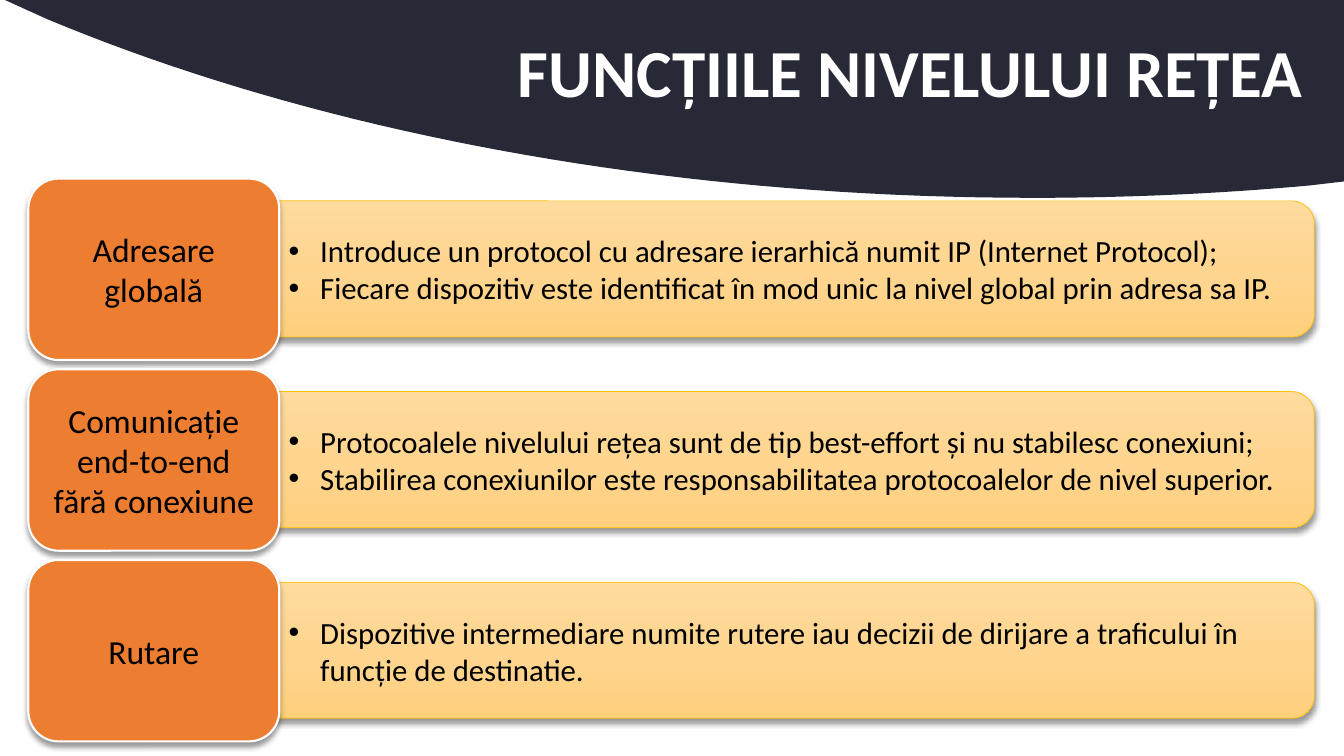
from copy import deepcopy
from dataclasses import dataclass

from lxml.etree import SubElement
from pptx import Presentation
from pptx.dml.color import RGBColor as Rgb
from pptx.enum.shapes import MSO_SHAPE as Preset
from pptx.enum.text import MSO_ANCHOR as Anchor, MSO_AUTO_SIZE as AutoSize, PP_ALIGN as Align
from pptx.oxml.ns import qn
from pptx.shapes.autoshape import Shape
from pptx.slide import Slide
from pptx.text.text import _Paragraph as Paragraph
from pptx.util import Pt

Point = tuple[float, float]


@dataclass(frozen=True)
class Theme:
    font: str = "Calibri"
    title_size: float = 48
    label_size: float = 24
    detail_size: float = 22
    navy: str = "272936"
    white: str = "FFFFFF"
    black: str = "000000"
    orange: str = "ED7D31"
    gold: str = "FFC000"
    bar_gradient: tuple[str, ...] = ("FFDB9E", "FFD590", "FFD07C")


@dataclass(frozen=True)
class Box:
    left: float
    top: float
    width: float
    height: float

    def moved_down(self, distance: float) -> "Box":
        return Box(self.left, self.top + distance, self.width, self.height)


@dataclass(frozen=True)
class NetworkFunction:
    label: str
    details: tuple[str, ...]


THEME = Theme()
TITLE_BOX = Box(66, 1.5, 894, 104.5)
LABEL_BOX = Box(20.2, 127.6, 179.3, 129.6)
BAR_BOX = Box(158.4, 143.5, 780.4, 97.2)
ROW_PITCH = 136.2
BULLET_MARGIN = 58.5
BULLET_HANGING = 22.5
CURVE_STEPS = 40

FUNCTIONS = (
    NetworkFunction("Adresare globală", (
        "Introduce un protocol cu adresare ierarhică numit IP (Internet Protocol);",
        "Fiecare dispozitiv este identificat în mod unic la nivel global prin adresa sa IP.",
    )),
    NetworkFunction("Comunicație end-to-end fără conexiune", (
        "Protocoalele nivelului rețea sunt de tip best-effort și nu stabilesc conexiuni;",
        "Stabilirea conexiunilor este responsabilitatea protocoalelor de nivel superior.",
    )),
    NetworkFunction("Rutare", (
        "Dispozitive intermediare numite rutere iau decizii de dirijare a traficului în "
        "funcție de destinatie.",
    )),
)


def color(value: str) -> Rgb:
    return Rgb.from_string(value)


def add_run(paragraph: Paragraph, text: str, size: float, hue: str, bold: bool = False) -> None:
    run = paragraph.add_run()
    run.text = text
    run.font.name = THEME.font
    run.font.size = Pt(size)
    run.font.bold = bold
    run.font.color.rgb = color(hue)


def curve_points(start: Point, first: Point, second: Point, end: Point) -> list[Point]:
    points = []
    for step in range(1, CURVE_STEPS + 1):
        t = step / CURVE_STEPS
        weights = ((1 - t) ** 3, 3 * t * (1 - t) ** 2, 3 * t**2 * (1 - t), t**3)
        controls = (start, first, second, end)
        points.append((
            sum(weight * x for weight, (x, _) in zip(weights, controls)),
            sum(weight * y for weight, (_, y) in zip(weights, controls)),
        ))
    return points


def add_header_curve(slide: Slide) -> None:
    right_end, trough, left_end = (935.3, 132.5), (738.7, 141.3), (33.8, 13.7)
    outline = [
        (960, 0), (960, 129.6), right_end,
        *curve_points(right_end, (871.2, 138.3), (805.7, 141.3), trough),
        *curve_points(trough, (470.9, 141.3), (225.4, 93.6), left_end),
    ]
    builder = slide.shapes.build_freeform(Pt(3.6), 0)
    builder.add_line_segments([(Pt(x), Pt(y)) for x, y in outline], close=True)
    header = builder.convert_to_shape()
    header.shadow.inherit = False
    header.fill.solid()
    header.fill.fore_color.rgb = color(THEME.navy)
    header.line.fill.background()
    slide.shapes.element.insert(2, header.element)


def fill_title(slide: Slide, text: str) -> None:
    title = slide.shapes.title
    title.left, title.top = Pt(TITLE_BOX.left), Pt(TITLE_BOX.top)
    title.width, title.height = Pt(TITLE_BOX.width), Pt(TITLE_BOX.height)
    frame = title.text_frame
    frame.word_wrap = True
    frame.auto_size = AutoSize.NONE
    frame.vertical_anchor = Anchor.MIDDLE
    frame.margin_left, frame.margin_right = Pt(7.2), Pt(28.8)
    frame.margin_top = frame.margin_bottom = Pt(3.6)
    paragraph = frame.paragraphs[0]
    paragraph.alignment = Align.RIGHT
    paragraph.line_spacing = 0.9
    add_run(paragraph, text, THEME.title_size, THEME.white, bold=True)


def add_soft_shadow(shape: Shape) -> None:
    shape.shadow.inherit = False
    effects = shape.element.spPr.find(qn("a:effectLst"))
    shadow = SubElement(effects, qn("a:outerShdw"), blurRad=str(Pt(4)), dist=str(Pt(3)),
                        dir="5400000", algn="ctr", rotWithShape="0")
    hue = SubElement(shadow, qn("a:srgbClr"), val=THEME.black)
    SubElement(hue, qn("a:alpha"), val="40000")


def add_rounded_box(slide: Slide, box: Box, line_color: str, line_width: float) -> Shape:
    shape = slide.shapes.add_shape(Preset.ROUNDED_RECTANGLE, Pt(box.left), Pt(box.top),
                                   Pt(box.width), Pt(box.height))
    shape.line.color.rgb = color(line_color)
    shape.line.width = Pt(line_width)
    add_soft_shadow(shape)
    shape.text_frame.word_wrap = True
    shape.text_frame.vertical_anchor = Anchor.MIDDLE
    return shape


def apply_bar_gradient(shape: Shape) -> None:
    shape.fill.gradient()
    shape.fill.gradient_angle = 270
    stop_list = next(shape.element.spPr.iter(qn("a:gsLst")))
    stop_list.insert(1, deepcopy(stop_list[0]))
    for index, (stop, hue) in enumerate(zip(shape.fill.gradient_stops, THEME.bar_gradient)):
        stop.position = index / 2
        stop.color.rgb = color(hue)


def add_bullet(paragraph: Paragraph) -> None:
    paragraph.level = 1
    paragraph.alignment = Align.LEFT
    properties = paragraph._p.get_or_add_pPr()
    properties.set("marL", str(Pt(BULLET_MARGIN)))
    properties.set("indent", str(-Pt(BULLET_HANGING)))
    SubElement(properties, qn("a:buFont"), typeface="Arial")
    SubElement(properties, qn("a:buChar"), char="•")


def add_detail_bar(slide: Slide, box: Box, details: tuple[str, ...]) -> None:
    bar = add_rounded_box(slide, box, THEME.gold, 0.5)
    apply_bar_gradient(bar)
    frame = bar.text_frame
    for index, detail in enumerate(details):
        paragraph = frame.add_paragraph() if index else frame.paragraphs[0]
        add_bullet(paragraph)
        add_run(paragraph, detail, THEME.detail_size, THEME.black)


def add_label(slide: Slide, box: Box, text: str) -> None:
    label = add_rounded_box(slide, box, THEME.white, 1.5)
    label.fill.solid()
    label.fill.fore_color.rgb = color(THEME.orange)
    paragraph = label.text_frame.paragraphs[0]
    paragraph.alignment = Align.CENTER
    add_run(paragraph, text, THEME.label_size, THEME.black)


def main() -> None:
    presentation = Presentation()
    presentation.slide_width, presentation.slide_height = Pt(960), Pt(540)
    slide = presentation.slides.add_slide(presentation.slide_layouts[5])
    add_header_curve(slide)
    fill_title(slide, "FUNCȚIILE NIVELULUI REȚEA")
    for row, function in enumerate(FUNCTIONS):
        add_detail_bar(slide, BAR_BOX.moved_down(row * ROW_PITCH), function.details)
        add_label(slide, LABEL_BOX.moved_down(row * ROW_PITCH), function.label)
    presentation.save("out.pptx")


if __name__ == "__main__":
    main()
